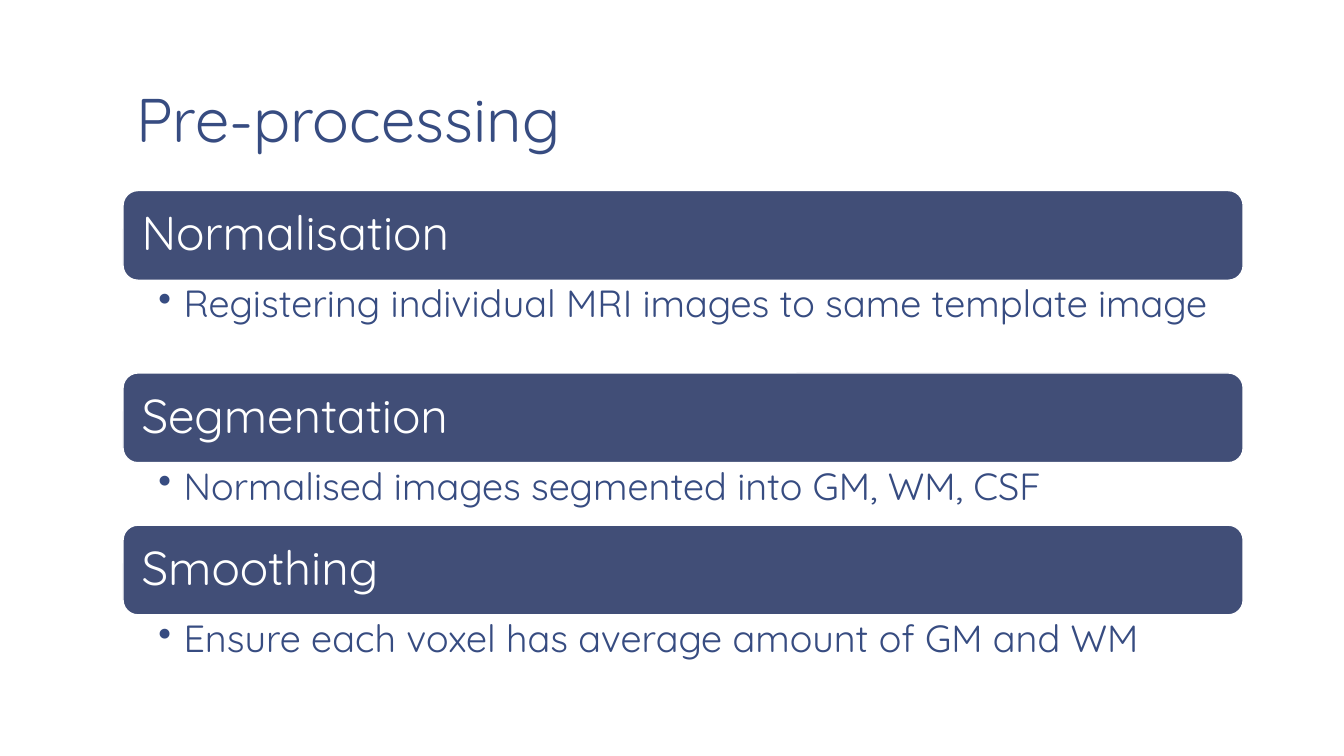
from dataclasses import dataclass

from lxml import etree
from pptx import Presentation
from pptx.dml.color import RGBColor
from pptx.enum import shapes, text
from pptx.oxml import ns
from pptx.util import Inches, Pt


@dataclass(frozen=True)
class Theme:
    font: str = "Quicksand"
    ink: RGBColor = RGBColor(0x37, 0x4C, 0x81)
    bar: RGBColor = RGBColor(0x41, 0x4E, 0x77)
    white: RGBColor = RGBColor(0xFF, 0xFF, 0xFF)
    title_size: int = 44
    heading_size: int = 34
    detail_size: int = 27


THEME = Theme()
LEFT, WIDTH = Inches(1.22), Inches(11.11)
BAR_HEIGHT = Inches(0.89)


def write_text(shape, wording, size, color, anchor, insets, line_spacing=0.9):
    """Fill the shape with one left-aligned paragraph and return it; insets are (left, top, right, bottom)."""
    frame = shape.text_frame
    frame.text = wording
    frame.word_wrap = True
    frame.auto_size = text.MSO_AUTO_SIZE.NONE
    frame.vertical_anchor = anchor
    frame.margin_left, frame.margin_top, frame.margin_right, frame.margin_bottom = map(Inches, insets)
    paragraph = frame.paragraphs[0]
    paragraph.alignment = text.PP_ALIGN.LEFT
    paragraph.line_spacing = line_spacing
    font = paragraph.runs[0].font
    font.name, font.size, font.color.rgb = THEME.font, Pt(size), color
    return paragraph


def add_bullet(paragraph, indent):
    properties = paragraph._p.get_or_add_pPr()
    properties.set("marL", str(indent))
    properties.set("indent", str(-indent))
    etree.SubElement(properties, ns.qn("a:buChar")).set("char", "•")


presentation = Presentation()
presentation.slide_width, presentation.slide_height = Inches(13.33), Inches(7.5)
slide = presentation.slides.add_slide(presentation.slide_layouts[5])
slide.background.fill.solid()
slide.background.fill.fore_color.rgb = THEME.white

title = slide.shapes.title
title.left, title.top, title.width, title.height = LEFT, Inches(0.08), WIDTH, Inches(1.53)
write_text(title, "Pre-processing", THEME.title_size, THEME.ink,
           text.MSO_ANCHOR.BOTTOM, (0.13, 0.07, 0.13, 0.07), line_spacing=0.85)

# Heading, detail, height of the detail area
steps = [
    ("Normalisation", "Registering individual MRI images to same template image", 0.92),
    ("Segmentation", "Normalised images segmented into GM, WM, CSF", 0.62),
    ("Smoothing", "Ensure each voxel has average amount of GM and WM", 0.62),
]

top = Inches(1.89)
for heading, detail, detail_height in steps:
    bar = slide.shapes.add_shape(shapes.MSO_SHAPE.ROUNDED_RECTANGLE, LEFT, top, WIDTH, BAR_HEIGHT)
    bar.shadow.inherit = False
    bar.fill.solid()
    bar.fill.fore_color.rgb = THEME.bar
    bar.line.color.rgb = THEME.white
    bar.line.width = Pt(1)
    write_text(bar, heading, THEME.heading_size, THEME.white,
               text.MSO_ANCHOR.MIDDLE, (0.14, 0.14, 0.14, 0.14))
    top += BAR_HEIGHT

    detail_box = slide.shapes.add_textbox(LEFT, top, WIDTH, Inches(detail_height))
    paragraph = write_text(detail_box, detail, THEME.detail_size, THEME.ink,
                           text.MSO_ANCHOR.TOP, (0.35, 0.05, 0.26, 0.05))
    add_bullet(paragraph, Inches(0.25))
    top += Inches(detail_height)

presentation.save("out.pptx")
